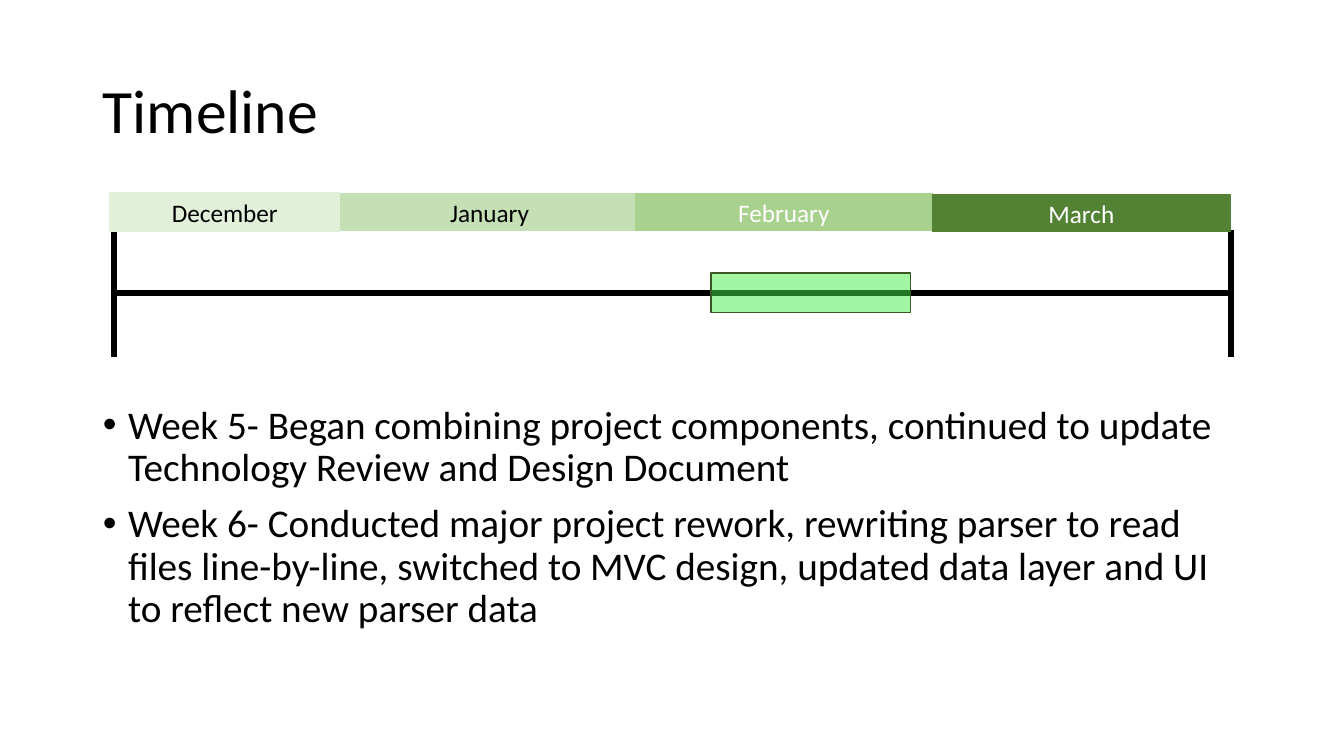
import pptx
import pptx.util
import pptx.dml.color
import pptx.enum.shapes
import pptx.enum.text
import pptx.oxml.ns
import lxml.etree

PX = 9144
FONT = "Calibri"
BLACK, WHITE = "000000", "FFFFFF"
LEFT = pptx.enum.text.PP_ALIGN.LEFT
CENTER = pptx.enum.text.PP_ALIGN.CENTER
TOP = pptx.enum.text.MSO_ANCHOR.TOP
MIDDLE = pptx.enum.text.MSO_ANCHOR.MIDDLE
RECT = pptx.enum.shapes.MSO_SHAPE.RECTANGLE
STRAIGHT = pptx.enum.shapes.MSO_CONNECTOR.STRAIGHT

WEEKS = [
    "Week 5- Began combining project components, continued to update "
    "Technology Review and Design Document",
    "Week 6- Conducted major project rework, rewriting parser to read "
    "files line-by-line, switched to MVC design, updated data layer and UI "
    "to reflect new parser data",
]
MONTHS = [
    ("January", (229, 1, 295, 37), "C5E0B4", BLACK),
    ("February", (521, 1, 295, 37), "A9D18E", WHITE),
    ("March", (816, 2, 295, 37), "548235", WHITE),
    ("December", (0, 0, 228, 39), "E2F0D9", BLACK),
]


def emu(*lengths):
    """Turn px lengths into EMU."""
    return [pptx.util.Emu(n * PX) for n in lengths]


def rgb(code):
    """Turn a hex string into a colour."""
    return pptx.dml.color.RGBColor.from_string(code)


def apply(obj, formats):
    """Set each attribute in formats on obj."""
    for name, value in formats.items():
        setattr(obj, name, value)


def add_xml(parent, tag, **attrs):
    """Append a DrawingML element to parent."""
    return lxml.etree.SubElement(parent, pptx.oxml.ns.qn(tag), attrs)


def write(sp, lines, size, color, anchor, **formats):
    """Fill a shape with formatted paragraphs."""
    tf = sp.text_frame
    apply(tf, {"word_wrap": True, "vertical_anchor": anchor,
               "auto_size": pptx.enum.text.MSO_AUTO_SIZE.NONE})
    for i, line in enumerate(lines):
        p = tf.add_paragraph() if i else tf.paragraphs[0]
        apply(p, formats)
        r = p.add_run()
        r.text = line
        apply(r.font, {"name": FONT, "size": pptx.util.Pt(size)})
        r.font.color.rgb = rgb(color)


def place(sp, box):
    """Move a placeholder to its box."""
    apply(sp, dict(zip(("left", "top", "width", "height"), emu(*box))))


def add_title(s, box):
    """Set the slide title."""
    sp = s.shapes.title
    place(sp, box)
    write(sp, ["Timeline"], 44, BLACK, MIDDLE, alignment=LEFT, line_spacing=0.9)


def add_weeks(s, box):
    """Fill the body with the bulleted weeks."""
    sp = s.placeholders[1]
    place(sp, box)
    write(sp, WEEKS, 28, BLACK, TOP, alignment=LEFT, line_spacing=0.9,
          space_before=pptx.util.Pt(10))
    for p in sp.text_frame.paragraphs:
        pPr = p._p.get_or_add_pPr()
        pPr.set("marL", str(25 * PX))
        pPr.set("indent", str(-25 * PX))
        add_xml(pPr, "a:buFont", typeface="Arial")
        add_xml(pPr, "a:buChar", char="•")


def add_rule(s, x1, y1, x2, y2):
    """Draw a thick black line."""
    cn = s.shapes.add_connector(STRAIGHT, *emu(x1, y1, x2, y2))
    cn.line.color.rgb = rgb(BLACK)
    cn.line.width = pptx.util.Pt(4.5)
    add_xml(cn._element.spPr, "a:effectLst")


def add_bar(s, box, fill, line):
    """Draw a filled rectangle with a thin outline."""
    sp = s.shapes.add_shape(RECT, *emu(*box))
    sp.shadow.inherit = False
    sp.fill.solid()
    sp.fill.fore_color.rgb = rgb(fill)
    sp.line.color.rgb = rgb(line)
    sp.line.width = pptx.util.Pt(1)
    return sp


def add_timeline(s, box):
    """Draw the axis, the current span and the month bars."""
    x, y, w, h = box
    mid = y + 100
    add_rule(s, x + 1, mid, x + w, mid)
    for end in (x + w - 2, x + 4):
        add_rule(s, end, y + 37, end, y + h)
    span = add_bar(s, (x + 596, mid - 20, 198, 39), "44EC48", "385723")
    clr = span.fill._xPr.find(".//" + pptx.oxml.ns.qn("a:srgbClr"))
    add_xml(clr, "a:alpha", val="50000")
    for name, (dx, dy, bw, bh), fill, color in MONTHS:
        sp = add_bar(s, (x + dx, y + dy, bw, bh), fill, fill)
        write(sp, [name], 18, color, MIDDLE, alignment=CENTER)


def main():
    """Build and save the slide."""
    prs = pptx.Presentation()
    prs.slide_width, prs.slide_height = emu(1333, 750)
    s = prs.slides.add_slide(prs.slide_layouts[1])
    add_title(s, (92, 40, 1150, 145))
    add_weeks(s, (92, 397, 1132, 288))
    add_timeline(s, (109, 191, 1114, 163))
    prs.save("out.pptx")


if __name__ == "__main__":
    main()
